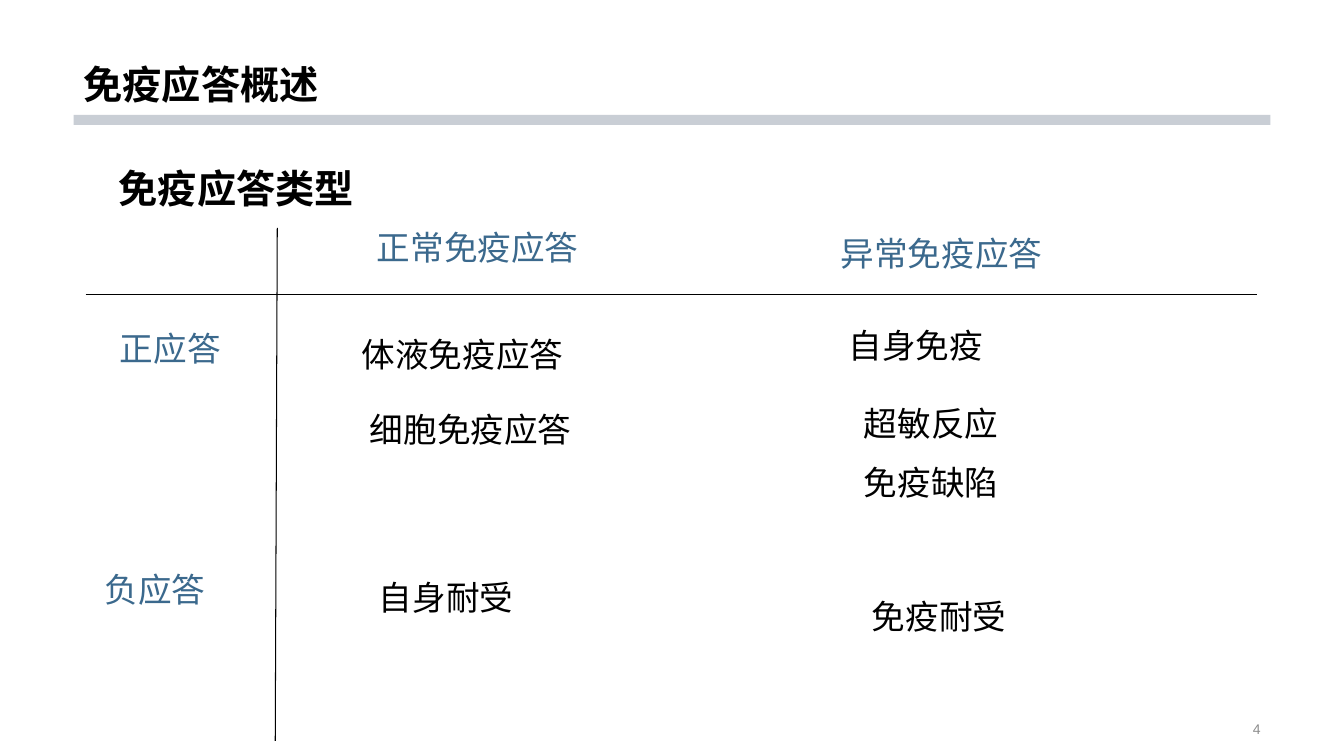
import pptx
import pptx.dml.color
import pptx.enum.shapes
import pptx.enum.text
import pptx.oxml.ns
import pptx.util
from lxml import etree
from pptx.util import Inches

COLORS = {"black": "000000", "heading": "3B698D", "rule": "C9CED5", "number": "8C8C8C"}
CJK = "Noto Sans CJK SC"
ANCHOR = pptx.enum.text.MSO_ANCHOR
ALIGN = pptx.enum.text.PP_ALIGN
AUTO_SIZE = pptx.enum.text.MSO_AUTO_SIZE

TITLE = {"size": pptx.util.Pt(28), "name": CJK, "bold": True}
ENTRY = {"size": pptx.util.Pt(24), "name": CJK, "bold": False}
NUMBER = {"size": pptx.util.Pt(10), "name": "Arial", "bold": False}

HEADINGS = [
    ("正常免疫应答", 3.64, 2.2),
    ("异常免疫应答", 8.24, 2.26),
    ("正应答", 1.09, 3.2),
    ("负应答", 0.94, 5.59),
]
RESPONSES = [
    ("体液免疫应答", 3.49, 3.26),
    ("细胞免疫应答", 3.57, 4.01),
    ("自身耐受", 3.66, 5.67),
    ("自身免疫", 8.32, 3.17),
    ("超敏反应", 8.47, 3.95),
    ("免疫缺陷", 8.47, 4.53),
    ("免疫耐受", 8.55, 5.86),
]


def rgb(color):
    return pptx.dml.color.RGBColor.from_string(COLORS[color])


def apply(target, values):
    for attribute, value in values.items():
        setattr(target, attribute, value)


def write(frame, text, font, color, frame_values, paragraph_values):
    apply(frame, frame_values)
    paragraph = frame.paragraphs[0]
    apply(paragraph, paragraph_values)
    run = paragraph.add_run()
    run.text = text
    apply(run.font, font)
    run.font.color.rgb = rgb(color)
    east_asian = etree.SubElement(run.font._element, pptx.oxml.ns.qn("a:ea"))
    east_asian.set("typeface", font["name"])


def add_title(slide, text):
    title = slide.shapes.title
    apply(title, {"left": Inches(0.73), "top": Inches(0),
                  "width": Inches(11.87), "height": Inches(1.12)})
    write(title.text_frame, text, TITLE, "black",
          {"vertical_anchor": ANCHOR.BOTTOM, "word_wrap": True, "auto_size": AUTO_SIZE.NONE},
          {"alignment": ALIGN.LEFT, "line_spacing": 0.9})


def add_text(slide, text, box, font, color, frame_values, alignment=ALIGN.LEFT):
    textbox = slide.shapes.add_textbox(*map(Inches, box))
    write(textbox.text_frame, text, font, color, frame_values, {"alignment": alignment})


def add_entry(slide, text, left, top, color):
    width = round(len(text) / 3 + 0.2, 2)
    add_text(slide, text, (left, top, width, 0.5), ENTRY, color,
             {"word_wrap": False, "auto_size": AUTO_SIZE.SHAPE_TO_FIT_TEXT})


def add_title_rule(slide):
    rule = slide.shapes.add_shape(
        pptx.enum.shapes.MSO_SHAPE.RECTANGLE,
        Inches(0.73), Inches(1.14), Inches(11.87), Inches(0.1))
    rule.shadow.inherit = False
    rule.fill.solid()
    rule.fill.fore_color.rgb = rgb("rule")
    rule.line.fill.background()


def add_axis(slide, *ends):
    axis = slide.shapes.add_connector(
        pptx.enum.shapes.MSO_CONNECTOR.STRAIGHT, *map(Inches, ends))
    axis.line.color.rgb = rgb("black")
    axis.line.width = pptx.util.Pt(0.75)
    etree.SubElement(axis._element.spPr, pptx.oxml.ns.qn("a:effectLst"))


def main():
    deck = pptx.Presentation()
    apply(deck, {"slide_width": Inches(13.33), "slide_height": Inches(7.5)})
    slide = deck.slides.add_slide(deck.slide_layouts[5])

    add_title(slide, "免疫应答概述")
    add_title_rule(slide)
    add_text(slide, "4", (9.42, 7.12, 3.18, 0.23), NUMBER, "number",
             {"word_wrap": True, "vertical_anchor": ANCHOR.MIDDLE}, ALIGN.RIGHT)
    add_axis(slide, 0.85, 2.92, 12.47, 2.92)
    add_axis(slide, 2.75, 2.26, 2.73, 7.35)
    for color, entries in (("heading", HEADINGS), ("black", RESPONSES)):
        for text, left, top in entries:
            add_entry(slide, text, left, top, color)
    add_text(slide, "免疫应答类型", (1.08, 1.58, 3.78, 0.57), TITLE, "black",
             {"word_wrap": True, "auto_size": AUTO_SIZE.SHAPE_TO_FIT_TEXT})

    deck.save("out.pptx")


if __name__ == "__main__":
    main()
